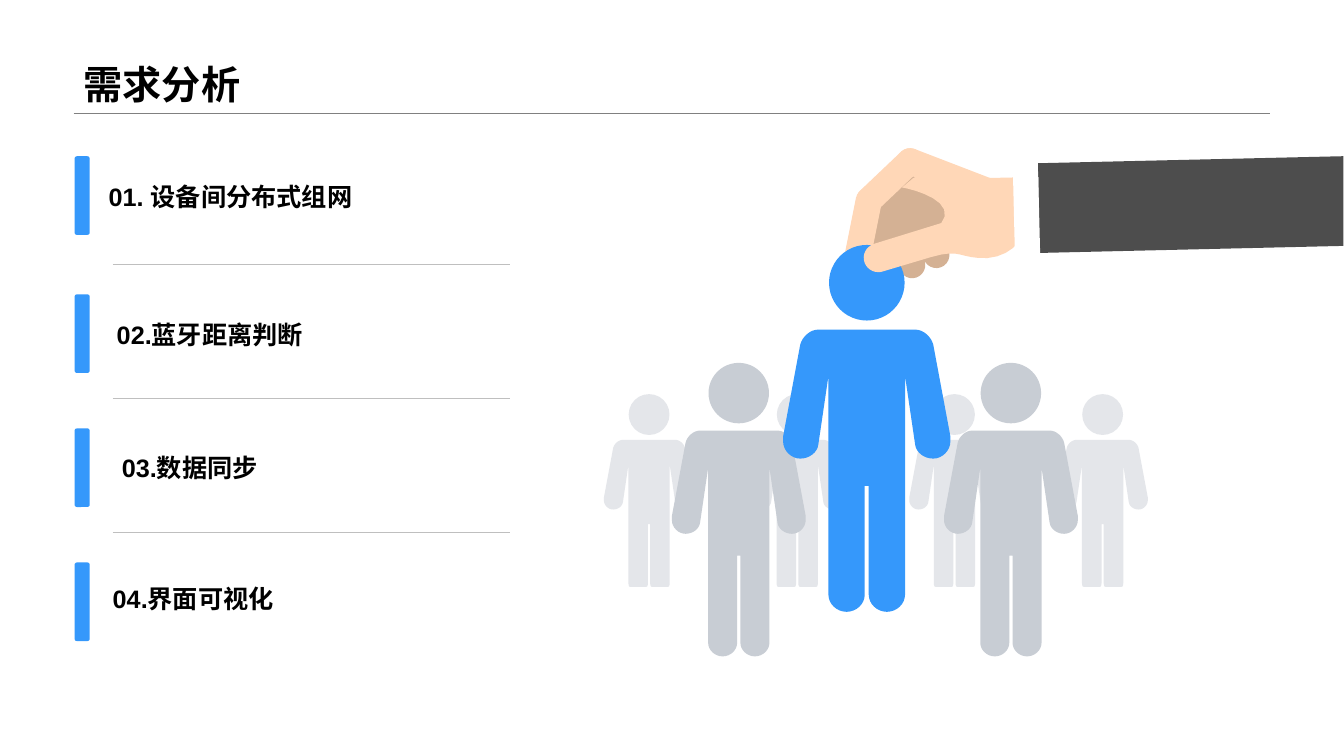
import math

from lxml import etree
from pptx import Presentation
from pptx.dml.color import RGBColor
from pptx.enum.shapes import MSO_CONNECTOR, MSO_SHAPE
from pptx.enum.text import MSO_ANCHOR, PP_ALIGN
from pptx.oxml.ns import qn
from pptx.util import Cm, Pt

OVAL = MSO_SHAPE.OVAL
ROUNDED = MSO_SHAPE.ROUNDED_RECTANGLE
STRAIGHT = MSO_CONNECTOR.STRAIGHT
BOTTOM = MSO_ANCHOR.BOTTOM
LEFT = PP_ALIGN.LEFT

FONT = "Arial"
TITLE_ONLY = 5
COLOURS = {
    "text": "000000", "rule": "808080", "divider": "BFBFBF",
    "accent": "3598FB", "middle": "C8CDD4", "far": "E4E6EA",
    "sleeve": "4D4D4D", "cuff": "FFFFFF", "skin": "FFD7B7", "shade": "D4B194",
}

# Bar top, text left, text top, wording
REQUIREMENTS = [
    (1.55, 0.98, 1.72, "01. 设备间分布式组网"),
    (2.92, 1.06, 3.09, "02.蓝牙距离判断"),
    (4.25, 1.11, 4.41, "03.数据同步"),
    (5.58, 1.02, 5.71, "04.界面可视化"),
]

# Outlines: a pair is a corner, six numbers are a Bézier curve.
# Right half of a body, measured from the middle of the shoulders
HALF_BODY = [
    (0, 0), (0.48, 0), (0.56, 0, 0.64, 0.07, 0.66, 0.15), (0.83, 1.06),
    (0.83, 1.11), (0.83, 1.2, 0.75, 1.28, 0.66, 1.28),
    (0.57, 1.28, 0.49, 1.22, 0.48, 1.14), (0.38, 0.46), (0.38, 2.63),
    (0.38, 2.72, 0.3, 2.8, 0.2, 2.8), (0.1, 2.8, 0.02, 2.72, 0.02, 2.63),
    (0.02, 1.55),
]
SLEEVE = [(13.33, 2.44), (13.33, 1.55), (10.3, 1.62), (10.31, 2.51)]
PALM_SHADE = [(9.8, 1.9), (9.04, 1.62), (8.6, 2.1), (8.62, 2.52), (9.64, 2.3)]
PALM = [
    (8.95, 1.86), (9.07, 1.88, 9.52, 2, 9.33, 2.23),
    (9.14, 2.46, 9.86, 2.2, 9.86, 2.2), (9.63, 1.77),
    (9.63, 1.77, 9.23, 1.55, 8.95, 1.86),
]
WRIST = [(9.65, 1.77), (9.74, 2.4), (10.14, 2.4), (10.11, 1.76)]
THUMB = [
    (9.61, 1.87), (9.81, 1.71, 10.15, 1.94, 10.19, 2.12),
    (10.23, 2.31, 10.06, 2.54, 9.8, 2.56),
    (9.51, 2.57, 9.55, 2.46, 9.24, 2.55), (8.77, 2.69),
    (8.69, 2.72, 8.61, 2.68, 8.58, 2.61),
    (8.55, 2.53, 8.59, 2.45, 8.67, 2.42), (9.35, 2.21),
    (9.39, 2.1, 9.48, 1.97, 9.61, 1.87),
]
CUFF = [(10.05, 1.7), (10.07, 2.51), (10.32, 2.51), (10.3, 1.7)]


def inches(value):
    return Cm(value * 2.54)


def colour(name):
    return RGBColor.from_string(COLOURS[name])


def paint(shape, name):
    shape.shadow.inherit = False
    shape.fill.solid()
    shape.fill.fore_color.rgb = colour(name)
    shape.line.fill.background()


def add_preset(page, kind, left, top, width, height, name):
    shape = page.shapes.add_shape(kind, *map(inches, (left, top, width, height)))
    paint(shape, name)
    return shape


def add_rule(page, left, right, top, name):
    rule = page.shapes.add_connector(
        STRAIGHT, *map(inches, (left, top, right, top)))
    rule.line.color.rgb = colour(name)
    rule.line.width = Pt(0.25)
    etree.SubElement(rule._element.spPr, qn("a:effectLst"))


def trace(outline, steps=8):
    """Turn corners and curves into a list of points."""
    points = []
    for part in outline:
        if len(part) == 2:
            points.append(part)
            continue
        start = points[-1]
        controls = [start, part[0:2], part[2:4], part[4:6]]
        for step in range(1, steps + 1):
            t = step / steps
            weights = ((1 - t) ** 3, 3 * t * (1 - t) ** 2,
                       3 * t ** 2 * (1 - t), t ** 3)
            points.append(tuple(
                sum(w * control[axis] for w, control in zip(weights, controls))
                for axis in (0, 1)))
    return points


def add_outline(page, points, name):
    corners = [(inches(x), inches(y)) for x, y in points]
    builder = page.shapes.build_freeform(*corners[0])
    builder.add_line_segments(corners[1:], close=True)
    paint(builder.convert_to_shape(), name)


def add_finger(page, start, end, name, radius=0.13):
    """Draw a bar with round ends between two points."""
    heading = math.atan2(end[1] - start[1], end[0] - start[0])
    points = []
    for (x, y), turn in ((end, -math.pi / 2), (start, math.pi / 2)):
        for step in range(13):
            angle = heading + turn + math.pi * step / 12
            points.append((x + radius * math.cos(angle),
                           y + radius * math.sin(angle)))
    add_outline(page, points, name)


def add_person(page, middle, top, scale, name, foot=2.8):
    """Draw a head and a symmetric body cut off at the foot line."""
    head = 0.75 * scale
    add_preset(page, OVAL, middle - head / 2, top, head, head, name)
    half = [(x * scale, top + (0.84 + min(y, foot)) * scale)
            for x, y in trace(HALF_BODY)]
    right = [(middle + x, y) for x, y in half]
    left = [(middle - x, y) for x, y in reversed(half)]
    add_outline(page, right + left, name)


def write(frame, words, size):
    frame.vertical_anchor = BOTTOM
    para = frame.paragraphs[0]
    para.text = words
    para.alignment = LEFT
    para.font.name = FONT
    para.font.size = Pt(size)
    para.font.bold = True
    para.font.color.rgb = colour("text")
    return para


def add_title(page, words):
    title = page.shapes.title
    title.left, title.top, title.width, title.height = map(
        inches, (0.73, 0, 11.87, 1.12))
    write(title.text_frame, words, 28).line_spacing = 0.9
    add_rule(page, 0.73, 12.6, 1.12, "rule")


def add_requirement(page, bar_top, left, top, words):
    bar = add_preset(page, ROUNDED, 0.74, bar_top, 0.15, 0.78, "accent")
    bar.adjustments[0] = 0.15
    box = page.shapes.add_textbox(*map(inches, (left, top, 4.21, 0.43)))
    box.text_frame.word_wrap = False
    write(box.text_frame, words, 18)


def add_hand(page):
    add_finger(page, (8.73, 2.66), (8.8, 2.01), "shade")
    add_finger(page, (9.05, 2.63), (9, 1.97), "shade")
    add_outline(page, PALM_SHADE, "shade")
    add_finger(page, (9.29, 2.53), (9.07, 1.92), "shade")
    add_finger(page, (9.81, 1.9), (9.03, 1.6), "skin")
    add_finger(page, (8.63, 1.98), (9.03, 1.6), "skin")
    add_finger(page, (8.49, 2.64), (8.62, 1.99), "skin")
    add_outline(page, trace(PALM), "skin")
    add_outline(page, WRIST, "skin")


def main():
    deck = Presentation()
    deck.slide_width, deck.slide_height = Cm(33.87), Cm(19.05)
    page = deck.slides.add_slide(deck.slide_layouts[TITLE_ONLY])
    add_title(page, "需求分析")

    # Crowd, from the far row to the near row
    for middle in (10.94, 9.47, 7.91, 6.44):
        add_person(page, middle, 3.91, 0.54, "far", foot=2.7)
    for middle in (10.03, 7.33):
        add_person(page, middle, 3.6, 0.8, "middle")

    # Hand picking the chosen person, with the thumb in front
    add_outline(page, SLEEVE, "sleeve")
    add_hand(page)
    add_person(page, 8.6, 2.43, 1, "accent")
    add_outline(page, trace(THUMB), "skin")
    add_outline(page, CUFF, "cuff")

    # List of requirements and its dividers
    for requirement in REQUIREMENTS:
        add_requirement(page, *requirement)
    for row in range(len(REQUIREMENTS) - 1):
        add_rule(page, 1.12, 5.06, 2.62 + 1.33 * row, "divider")

    deck.save("out.pptx")


if __name__ == "__main__":
    main()
